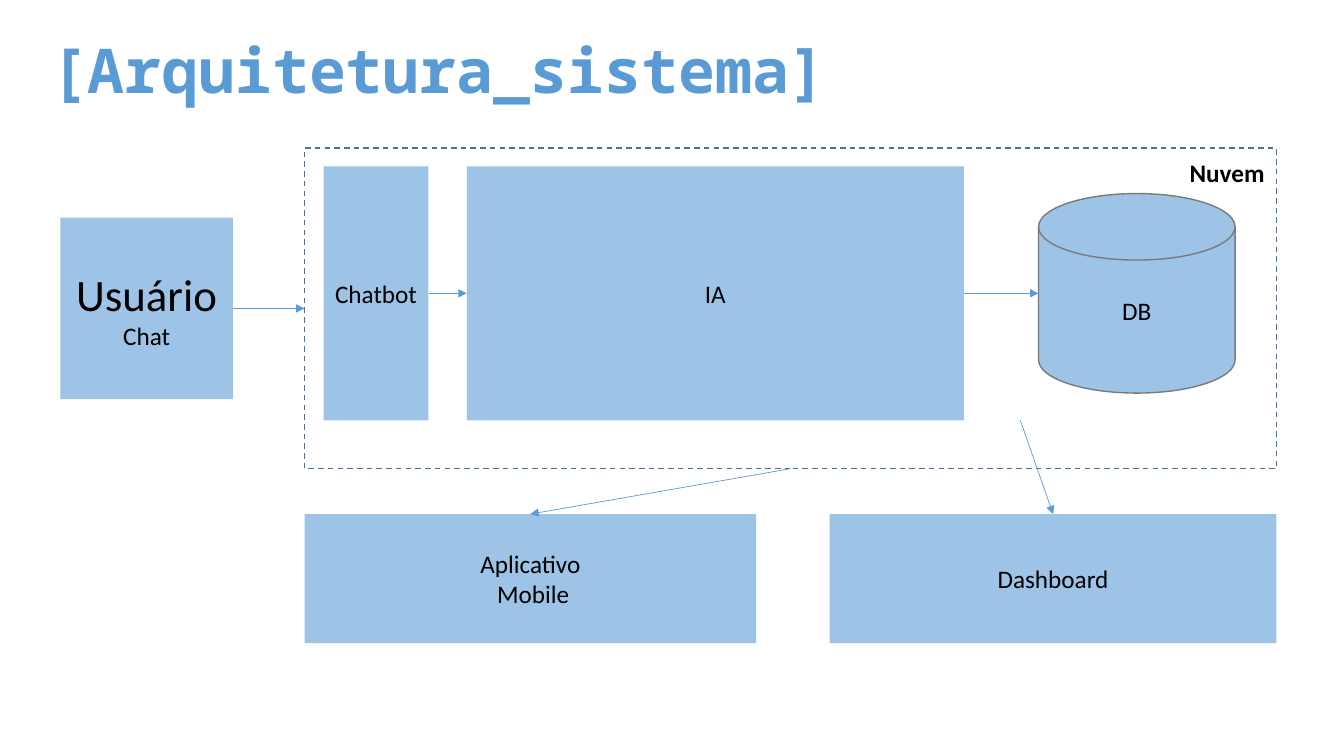
from lxml.etree import SubElement
from pptx import Presentation
from pptx.dml.color import RGBColor
from pptx.enum.dml import MSO_LINE
from pptx.enum.shapes import MSO_CONNECTOR, MSO_SHAPE
from pptx.enum.text import MSO_ANCHOR, MSO_AUTO_SIZE, PP_ALIGN
from pptx.oxml.ns import qn
from pptx.util import Inches, Pt

# Content
COLORS = {"box": "9DC3E6", "accent": "5B9BD5", "cloud": "43739E",
          "disk": "7A7A7A", "text": "000000"}
TITLE = "[Arquitetura_sistema]"
CLOUD_LABEL = "Nuvem"
# Name: (left, top, width, height), [(text, size), ...]
BOXES = {
    "user": ((0.6, 2.16, 1.71, 1.8), [("Usuário", 32), ("Chat", 18)]),
    "chatbot": ((3.21, 1.65, 1.04, 2.52), [("Chatbot", 18)]),
    "ai": ((4.63, 1.65, 4.93, 2.52), [("IA", 18)]),
    "database": ((10.3, 1.92, 1.95, 1.98), [("DB", 18)]),
    "mobile": ((3.02, 5.1, 4.48, 1.28), [("Aplicativo", 18), (" Mobile", 18)]),
    "dashboard": ((8.23, 5.1, 4.43, 1.28), [("Dashboard", 18)]),
}
CLOUD = (3.02, 1.47, 9.64, 3.18)

presentation = Presentation()
presentation.slide_width, presentation.slide_height = Inches(13.33), Inches(7.5)
slide = presentation.slides.add_slide(presentation.slide_layouts[6])


def color(name):
    return RGBColor.from_string(COLORS[name])


def add_text(paragraph, text, size=18, font="Calibri", fill="text", bold=False,
             align=PP_ALIGN.LEFT):
    paragraph.alignment = align
    run = paragraph.add_run()
    run.text = text
    run.font.size, run.font.name, run.font.bold = Pt(size), font, bold
    run.font.color.rgb = color(fill)


def add_label(area, text, **text_format):
    frame = slide.shapes.add_textbox(*map(Inches, area)).text_frame
    frame.word_wrap = False
    frame.auto_size = MSO_AUTO_SIZE.SHAPE_TO_FIT_TEXT
    add_text(frame.paragraphs[0], text, **text_format)


def add_box(area, lines=(), kind=MSO_SHAPE.RECTANGLE, fill=None, outline=None):
    shape = slide.shapes.add_shape(kind, *map(Inches, area))
    shape.shadow.inherit = False
    if fill:
        shape.fill.solid()
        shape.fill.fore_color.rgb = color(fill)
    else:
        shape.fill.background()
    if outline:
        shape.line.color.rgb = color(outline)
        shape.line.width = Pt(1)
    else:
        shape.line.fill.background()
    frame = shape.text_frame
    frame.word_wrap = True
    frame.vertical_anchor = MSO_ANCHOR.MIDDLE
    for index, (text, size) in enumerate(lines):
        paragraph = frame.add_paragraph() if index else frame.paragraphs[0]
        add_text(paragraph, text, size=size, align=PP_ALIGN.CENTER)
    return shape


def add_arrow(start, end):
    arrow = slide.shapes.add_connector(
        MSO_CONNECTOR.STRAIGHT, *map(Inches, (*start, *end)))
    arrow.line.color.rgb = color("accent")
    arrow.line.width = Pt(0.5)
    SubElement(arrow.line._get_or_add_ln(), qn("a:tailEnd"), type="triangle")
    SubElement(arrow._element.spPr, qn("a:effectLst"))


def side(area, across, down):
    """Point at the given fractions of an area's width and height."""
    left, top, width, height = area
    return left + across * width, top + down * height


# Cloud frame and labels
add_box(CLOUD, outline="cloud").line.dash_style = MSO_LINE.DASH
add_label((11.7, 1.51, 0.95, 0.41), CLOUD_LABEL, bold=True)
add_label((0.4, 0.27, 8.01, 0.84), TITLE, size=44, font="Noto Sans Mono",
          fill="accent", bold=True)

# Components
for name, (area, lines) in BOXES.items():
    if name == "database":
        add_box(area, lines, MSO_SHAPE.FLOWCHART_MAGNETIC_DISK, "box", "disk")
    else:
        add_box(area, lines, fill="box")

# Arrows: left to right, then down to the outputs
areas = {name: area for name, (area, lines) in BOXES.items()}
areas["cloud"] = CLOUD
for source, target in [("user", "cloud"), ("chatbot", "ai"), ("ai", "database")]:
    add_arrow(side(areas[source], 1, 0.5), side(areas[target], 0, 0.5))
add_arrow(side(CLOUD, 0.5, 1), side(areas["mobile"], 0.5, 0))
add_arrow((10.12, 4.17), side(areas["dashboard"], 0.5, 0))

presentation.save("out.pptx")
